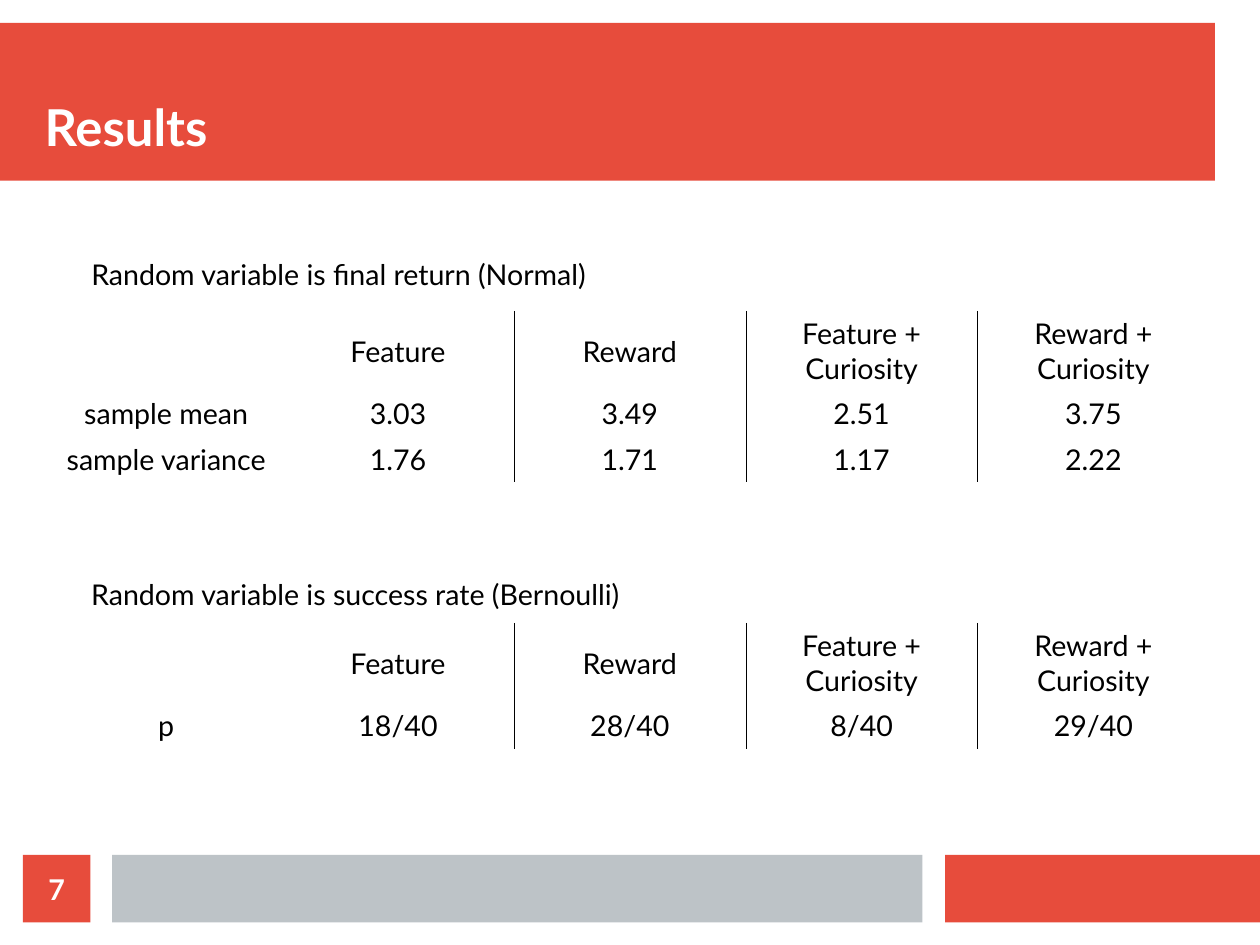
"""Build the Results slide with two sample tables."""
from dataclasses import dataclass

from lxml import etree
from pptx import Presentation
from pptx.dml.color import RGBColor
from pptx.enum.shapes import MSO_SHAPE
from pptx.enum.text import MSO_ANCHOR, PP_ALIGN
from pptx.oxml.ns import qn
from pptx.slide import Slide
from pptx.table import _Cell
from pptx.text.text import TextFrame
from pptx.util import Inches, Pt

RECTANGLE = MSO_SHAPE.RECTANGLE
TOP, MIDDLE, BOTTOM = MSO_ANCHOR.TOP, MSO_ANCHOR.MIDDLE, MSO_ANCHOR.BOTTOM
LEFT, CENTER = PP_ALIGN.LEFT, PP_ALIGN.CENTER

COLORS = {"red": "E74C3C", "gray": "BDC3C7", "black": "000000", "white": "FFFFFF"}
BODY = {"name": "Lato", "size": Pt(18), "bold": False}
NUMBER = {**BODY, "bold": True}
TITLE = {**NUMBER, "size": Pt(32)}

CENTIMETERS_PER_INCH = 2.54
SLIDE_WIDTH, SLIDE_HEIGHT = 28 / CENTIMETERS_PER_INCH, 21 / CENTIMETERS_PER_INCH
TABLE_WIDTH = 10.14
HEADER_HEIGHT, ROW_HEIGHT = 0.7, 0.4
RULE_WIDTH = Pt(0.06)
HEADERS = ("", "Feature", "Reward", "Feature + Curiosity", "Reward + Curiosity")


@dataclass(frozen=True)
class Box:
    left: float
    top: float
    width: float
    height: float

    def lengths(self) -> list[int]:
        return [Inches(value) for value in (self.left, self.top, self.width, self.height)]


@dataclass(frozen=True)
class Bar:
    box: Box
    color: str
    text: str = ""


@dataclass(frozen=True)
class Sample:
    caption: str
    caption_box: Box
    table_top: float
    rows: tuple[tuple[str, ...], ...]


BARS = (
    Bar(Box(0, 0.2, 10.63, 1.38), "red"),
    Bar(Box(8.27, 7.48, 2.76, 0.59), "red"),
    Bar(Box(0.98, 7.48, 7.09, 0.59), "gray"),
    Bar(Box(0.2, 7.48, 0.59, 0.59), "red", "7"),
)
SAMPLES = (
    Sample("Random variable is final return (Normal)", Box(0.7, 2.2, 5.25, 0.44), 2.72,
           (("sample mean", "3.03", "3.49", "2.51", "3.75"),
            ("sample variance", "1.76", "1.71", "1.17", "2.22"))),
    Sample("Random variable is success rate (Bernoulli)", Box(0.7, 5, 5.63, 0.44), 5.45,
           (("p", "18/40", "28/40", "8/40", "29/40"),)),
)


def write_text(frame: TextFrame, text: str, style: dict, color: str, alignment: PP_ALIGN) -> None:
    paragraph = frame.paragraphs[0]
    paragraph.alignment = alignment
    if not text:
        return
    run = paragraph.add_run()
    run.text = text
    for attribute, value in style.items():
        setattr(run.font, attribute, value)
    run.font.color.rgb = RGBColor.from_string(COLORS[color])


def format_frame(frame: TextFrame, anchor: MSO_ANCHOR, wrap: bool,
                 margin_x: float = 0, margin_y: float = 0) -> None:
    values = {
        "vertical_anchor": anchor, "word_wrap": wrap,
        "margin_left": Inches(margin_x), "margin_right": Inches(margin_x),
        "margin_top": Inches(margin_y), "margin_bottom": Inches(margin_y),
    }
    for attribute, value in values.items():
        setattr(frame, attribute, value)


def add_bar(slide: Slide, bar: Bar) -> None:
    shape = slide.shapes.add_shape(RECTANGLE, *bar.box.lengths())
    shape.shadow.inherit = False
    shape.fill.solid()
    shape.fill.fore_color.rgb = RGBColor.from_string(COLORS[bar.color])
    shape.line.fill.background()
    format_frame(shape.text_frame, MIDDLE, True)
    write_text(shape.text_frame, bar.text, NUMBER, "white", CENTER)


def add_title(slide: Slide, text: str) -> None:
    shape = slide.shapes.add_textbox(*Box(0.39, 0.39, 10.24, 0.98).lengths())
    format_frame(shape.text_frame, BOTTOM, True)
    write_text(shape.text_frame, text, TITLE, "white", LEFT)


def set_borders(cell: _Cell, ruled_edges: set[str]) -> None:
    properties = cell._tc.get_or_add_tcPr()
    for position, edge in enumerate(("lnL", "lnR", "lnT", "lnB")):
        line = etree.Element(qn(f"a:{edge}"), w=str(RULE_WIDTH))
        if edge in ruled_edges:
            fill = etree.SubElement(line, qn("a:solidFill"))
            etree.SubElement(fill, qn("a:srgbClr"), val=COLORS["black"])
        else:
            etree.SubElement(line, qn("a:noFill"))
        properties.insert(position, line)


def add_sample(slide: Slide, sample: Sample) -> None:
    caption = slide.shapes.add_textbox(*sample.caption_box.lengths())
    format_frame(caption.text_frame, TOP, False, 0.1, 0.05)
    write_text(caption.text_frame, sample.caption, BODY, "black", LEFT)

    rows = (HEADERS, *sample.rows)
    heights = [HEADER_HEIGHT] + [ROW_HEIGHT] * len(sample.rows)
    box = Box(0.44, sample.table_top, TABLE_WIDTH, sum(heights))
    table = slide.shapes.add_table(len(rows), len(HEADERS), *box.lengths()).table
    table.first_row = table.horz_banding = False
    for row_index, (values, height) in enumerate(zip(rows, heights)):
        table.rows[row_index].height = Inches(height)
        for column_index, value in enumerate(values):
            cell = table.cell(row_index, column_index)
            cell.fill.background()
            cell.vertical_anchor = MIDDLE
            write_text(cell.text_frame, value, BODY, "black", CENTER)
            edges = set()
            if column_index > 1:
                edges.add("lnL")
            if 0 < column_index < len(HEADERS) - 1:
                edges.add("lnR")
            set_borders(cell, edges)


def main() -> None:
    presentation = Presentation()
    presentation.slide_width = Inches(SLIDE_WIDTH)
    presentation.slide_height = Inches(SLIDE_HEIGHT)
    slide = presentation.slides.add_slide(presentation.slide_layouts[6])
    for bar in BARS:
        add_bar(slide, bar)
    add_title(slide, "Results")
    for sample in SAMPLES:
        add_sample(slide, sample)
    presentation.save("out.pptx")


if __name__ == "__main__":
    main()
